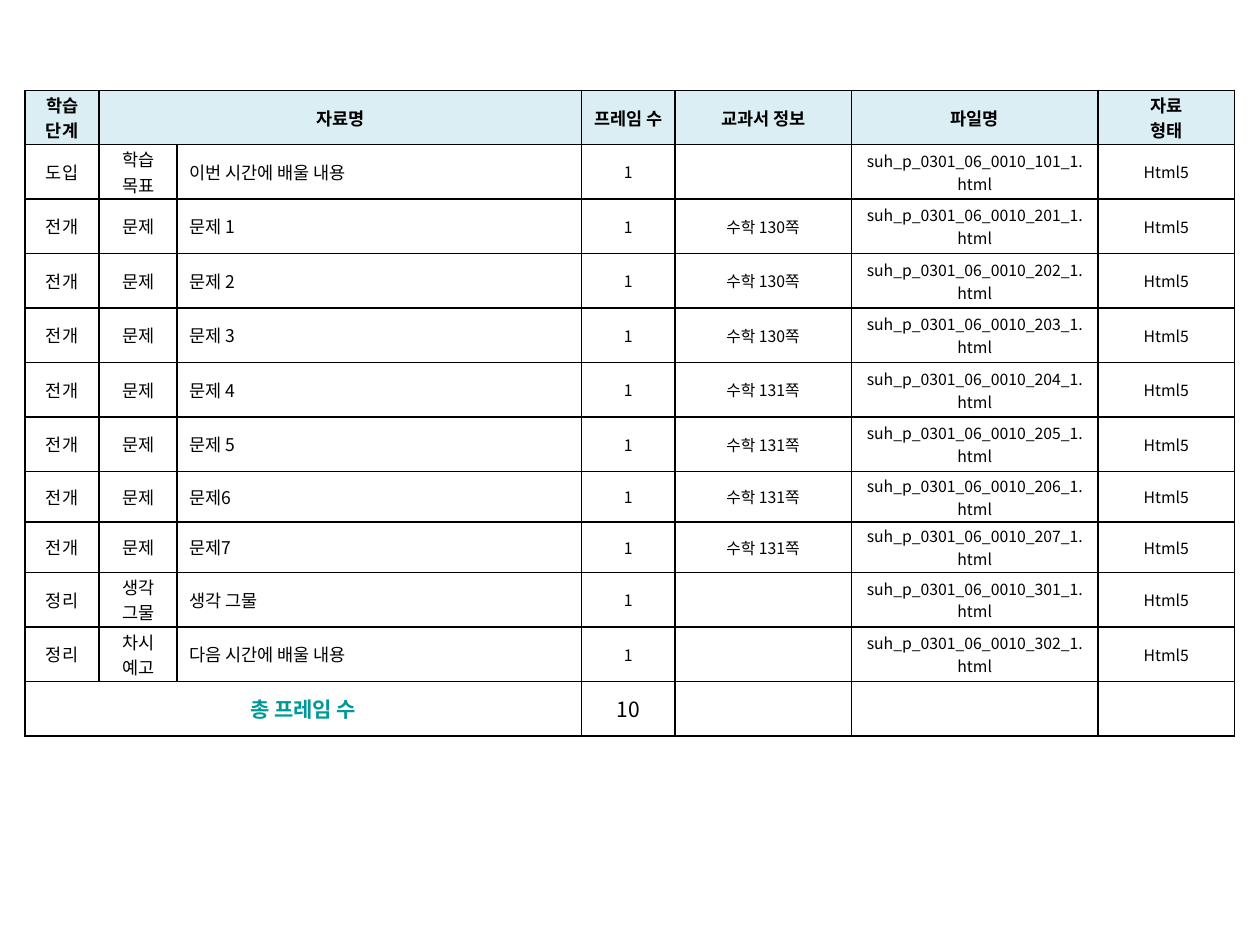
from lxml.etree import SubElement
from pptx import Presentation
from pptx.dml.color import RGBColor
from pptx.enum.text import MSO_ANCHOR as Anchor, PP_ALIGN as Align
from pptx.oxml.ns import qn
from pptx.util import Pt

BLACK = RGBColor(0x00, 0x00, 0x00)
TEAL = RGBColor(0x00, 0x99, 0x99)
HEADER_BLUE = RGBColor(0xDB, 0xEE, 0xF4)
FONT = "Noto Sans CJK KR"
COLUMN_WIDTHS = [42.5, 44.6, 231.1, 53.3, 100.8, 141.1, 77.8]
ROW_HEIGHT = 31.15
SHORT_HEIGHT = 28.85
SHORT_ROWS = (7, 8)
HEADINGS = ["학습 단계", "자료명", "", "프레임 수", "교과서 정보", "파일명", "자료\n형태"]
TITLE_COLUMN = 2
PROBLEM_PAGES = [130, 130, 130, 131, 131, 131, 131]


def lesson_rows():
    def row(stage, kind, title, reference, number):
        file_name = f"suh_p_0301_06_0010_{number}_1.html"
        return [stage, kind, title, "1", reference, file_name, "Html5"]

    problems = [
        row("전개", "문제", f"문제 {index}" if index < 6 else f"문제{index}",
            f"수학 {page}쪽", 200 + index)
        for index, page in enumerate(PROBLEM_PAGES, 1)
    ]
    return [
        row("도입", "학습\n목표", "이번 시간에 배울 내용", "", 101),
        *problems,
        row("정리", "생각\n그물", "생각 그물", "", 301),
        row("정리", "차시 예고", "다음 시간에 배울 내용", "", 302),
    ]


def draw_borders(cell):
    properties = cell._tc.get_or_add_tcPr()
    for position, side in enumerate(("a:lnL", "a:lnR", "a:lnT", "a:lnB")):
        line = properties.makeelement(qn(side), {"w": str(Pt(1))})
        fill = SubElement(line, qn("a:solidFill"))
        SubElement(fill, qn("a:srgbClr"), val=str(BLACK))
        properties.insert(position, line)


def style_cell(cell, fill=None):
    cell.vertical_anchor = Anchor.MIDDLE
    cell.margin_top = cell.margin_bottom = Pt(1)
    if fill is None:
        cell.fill.background()
    else:
        cell.fill.solid()
        cell.fill.fore_color.rgb = fill
    draw_borders(cell)


def write_cell(cell, text, size, bold=False, color=BLACK, align=Align.CENTER):
    if not text:
        return
    cell.text_frame.text = text
    for para in cell.text_frame.paragraphs:
        para.alignment = align
        font = para.font
        font.size = Pt(size)
        font.bold = bold
        font.color.rgb = color
        font.name = FONT
        defaults = para._p.pPr.find(qn("a:defRPr"))
        SubElement(defaults, qn("a:ea"), typeface=FONT)


def add_lesson_table(page):
    lessons = lesson_rows()
    total_row = len(lessons) + 1
    heights = [SHORT_HEIGHT if index in SHORT_ROWS else ROW_HEIGHT
               for index in range(total_row + 1)]
    frame = page.shapes.add_table(
        len(heights), len(COLUMN_WIDTHS), Pt(14.2), Pt(51.6),
        Pt(sum(COLUMN_WIDTHS)), Pt(sum(heights)))
    table = frame.table
    for column, width in zip(table.columns, COLUMN_WIDTHS):
        column.width = Pt(width)
    for index, (row, height) in enumerate(zip(table.rows, heights)):
        row.height = Pt(height)
        for cell in row.cells:
            style_cell(cell, HEADER_BLUE if index == 0 else None)

    table.cell(0, 1).merge(table.cell(0, 2))
    table.cell(total_row, 0).merge(table.cell(total_row, 2))
    for column, heading in enumerate(HEADINGS):
        write_cell(table.cell(0, column), heading, 10, bold=True)
    for index, lesson in enumerate(lessons, 1):
        for column, text in enumerate(lesson):
            write_cell(table.cell(index, column), text,
                       10 if column <= TITLE_COLUMN else 9,
                       align=Align.LEFT if column == TITLE_COLUMN else Align.CENTER)
    write_cell(table.cell(total_row, 0), "총 프레임 수", 12, bold=True, color=TEAL)
    write_cell(table.cell(total_row, 3), str(len(lessons)), 12)


def main():
    deck = Presentation()
    deck.slide_width, deck.slide_height = Pt(720), Pt(540)
    page = deck.slides.add_slide(deck.slide_layouts[6])
    add_lesson_table(page)
    deck.save("out.pptx")


if __name__ == "__main__":
    main()
